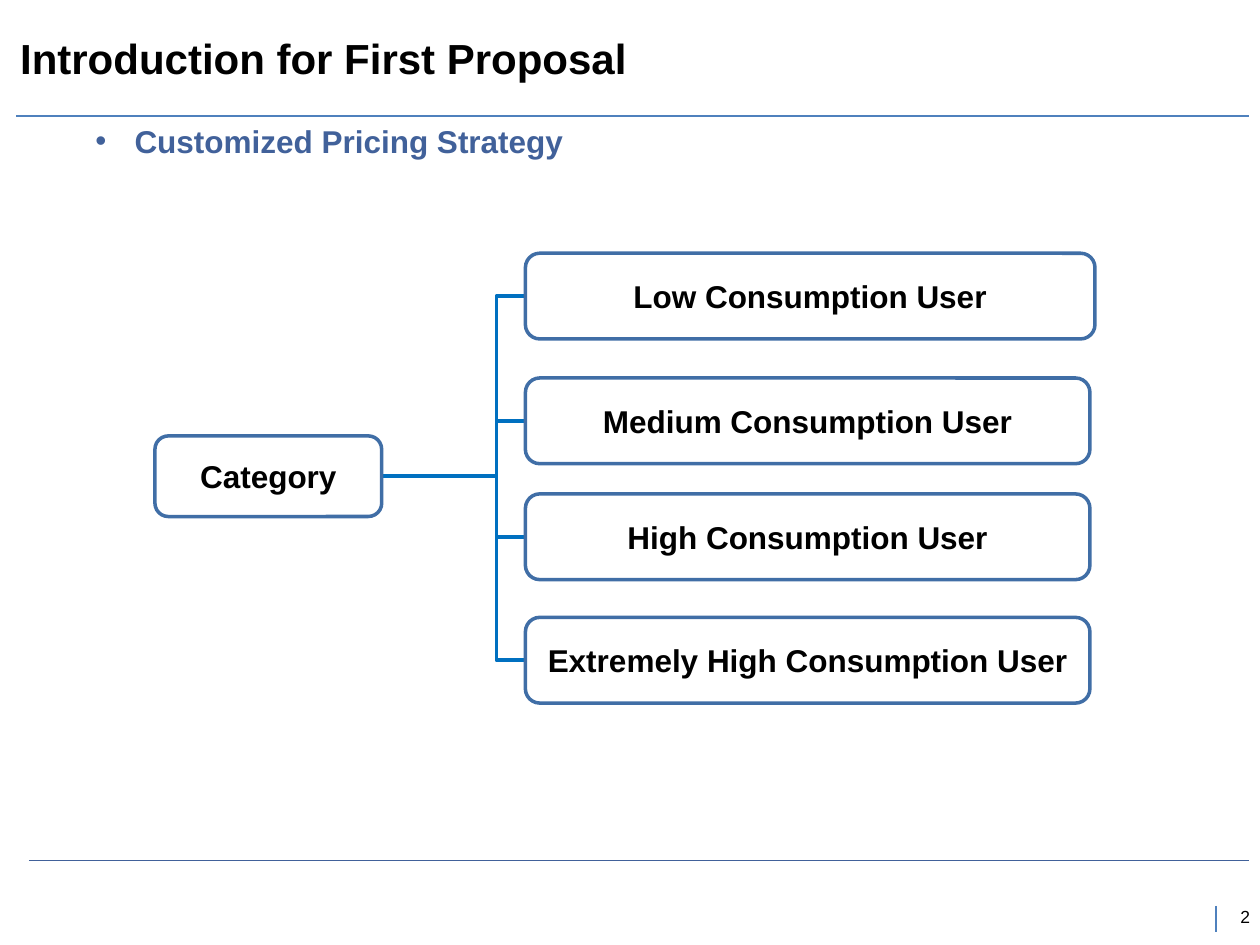
from lxml import etree
from pptx import Presentation
from pptx.dml.color import RGBColor
from pptx.enum.shapes import MSO_CONNECTOR, MSO_SHAPE
from pptx.enum.text import MSO_ANCHOR, PP_ALIGN
from pptx.oxml.ns import qn
from pptx.util import Inches, Pt

STRAIGHT = MSO_CONNECTOR.STRAIGHT
ROUNDED = MSO_SHAPE.ROUNDED_RECTANGLE
MIDDLE, TOP = MSO_ANCHOR.MIDDLE, MSO_ANCHOR.TOP
LEFT, CENTER, RIGHT = PP_ALIGN.LEFT, PP_ALIGN.CENTER, PP_ALIGN.RIGHT

BLACK = RGBColor(0x00, 0x00, 0x00)
WHITE = RGBColor(0xFF, 0xFF, 0xFF)
RULE_BLUE = RGBColor(0x4F, 0x81, 0xBD)
DARK_BLUE = RGBColor(0x41, 0x61, 0x9A)
BOX_BLUE = RGBColor(0x40, 0x6E, 0xA6)
BRANCH_BLUE = RGBColor(0x00, 0x70, 0xC0)


class SlideBuilder:
    font_name = "Arial"

    def __init__(self, slide):
        self.slide = slide
        self.shapes = slide.shapes

    def set_text(self, shape, text, size, color=BLACK, bold=True, align=LEFT,
                 anchor=MIDDLE, insets=(0, 0, 0, 0)):
        frame = shape.text_frame
        frame.word_wrap = True
        frame.vertical_anchor = anchor
        (frame.margin_left, frame.margin_top,
         frame.margin_right, frame.margin_bottom) = map(Inches, insets)
        frame.text = text
        paragraph = frame.paragraphs[0]
        paragraph.alignment = align
        font = paragraph.font
        font.name, font.size, font.bold = self.font_name, Pt(size), bold
        font.color.rgb = color
        return paragraph

    def title(self, text, left, top, width, height):
        title = self.shapes.title
        title.left, title.top = Inches(left), Inches(top)
        title.width, title.height = Inches(width), Inches(height)
        self.set_text(title, text, 24, insets=(0, 0.05, 0.1, 0.05))

    def text(self, text, left, top, width, height, size, **style):
        box = self.shapes.add_textbox(*map(Inches, (left, top, width, height)))
        return self.set_text(box, text, size, anchor=TOP, **style)

    def bullet(self, text, left, top, width, height):
        paragraph = self.text(text, left, top, width, height, 18, color=DARK_BLUE,
                              insets=(0.1, 0.05, 0.1, 0.05))
        paragraph.level = 1
        properties = paragraph._p.get_or_add_pPr()
        properties.set("marL", str(Inches(0.81)))
        properties.set("indent", str(Inches(-0.31)))
        bullet_font = etree.Element(qn("a:buFont"))
        bullet_font.set("typeface", self.font_name)
        bullet_character = etree.Element(qn("a:buChar"))
        bullet_character.set("char", "•")
        properties.insert(0, bullet_font)
        properties.insert(1, bullet_character)

    def rule(self, start_x, start_y, end_x, end_y, color=RULE_BLUE):
        line = self.shapes.add_connector(
            STRAIGHT, *map(Inches, (start_x, start_y, end_x, end_y)))
        line.line.color.rgb = color
        line.line.width = Pt(0.75)
        etree.SubElement(line._element.spPr, qn("a:effectLst"))

    def branch(self, start_x, start_y, bend_x, end_x, end_y):
        builder = self.shapes.build_freeform(Inches(start_x), Inches(start_y))
        corners = [(bend_x, start_y), (bend_x, end_y), (end_x, end_y)]
        builder.add_line_segments(
            [(Inches(x), Inches(y)) for x, y in corners], close=False)
        shape = builder.convert_to_shape()
        shape.shadow.inherit = False
        shape.fill.background()
        shape.line.color.rgb = BRANCH_BLUE
        shape.line.width = Pt(2)

    def box(self, text, left, top, width, height):
        shape = self.shapes.add_shape(
            ROUNDED, *map(Inches, (left, top, width, height)))
        shape.shadow.inherit = False
        shape.fill.solid()
        shape.fill.fore_color.rgb = WHITE
        shape.line.color.rgb = BOX_BLUE
        shape.line.width = Pt(2)
        self.set_text(shape, text, 18, align=CENTER)


def main():
    presentation = Presentation()
    presentation.slide_width, presentation.slide_height = Inches(10), Inches(7.5)
    slide = presentation.slides.add_slide(presentation.slide_layouts[5])
    builder = SlideBuilder(slide)

    builder.rule(0.13, 0.92, 9.91, 0.92)
    builder.rule(0.23, 6.83, 9.91, 6.83, DARK_BLUE)
    builder.rule(9.65, 7.19, 9.65, 7.4)
    builder.text("2", 9.57, 7.19, 0.35, 0.17, 10, bold=False, align=RIGHT)
    builder.title("Introduction for First Proposal", 0.16, 0.24, 5.97, 0.44)
    builder.bullet("Customized Pricing Strategy", 0.16, 0.92, 9.76, 4.04)

    root_left, root_top, root_width, root_height = 1.23, 3.46, 1.8, 0.64
    user_left, user_height, bend_x = 4.17, 0.68, 3.94
    users = [
        ("Low Consumption User", 2.01, 4.52),
        ("Medium Consumption User", 3, 4.48),
        ("High Consumption User", 3.92, 4.48),
        ("Extremely High Consumption User", 4.9, 4.48),
    ]
    for _, top, _ in users:
        builder.branch(root_left + root_width, root_top + root_height / 2,
                       bend_x, user_left, top + user_height / 2)
    builder.box("Category", root_left, root_top, root_width, root_height)
    for name, top, width in users:
        builder.box(name, user_left, top, width, user_height)

    presentation.save("out.pptx")


if __name__ == "__main__":
    main()
